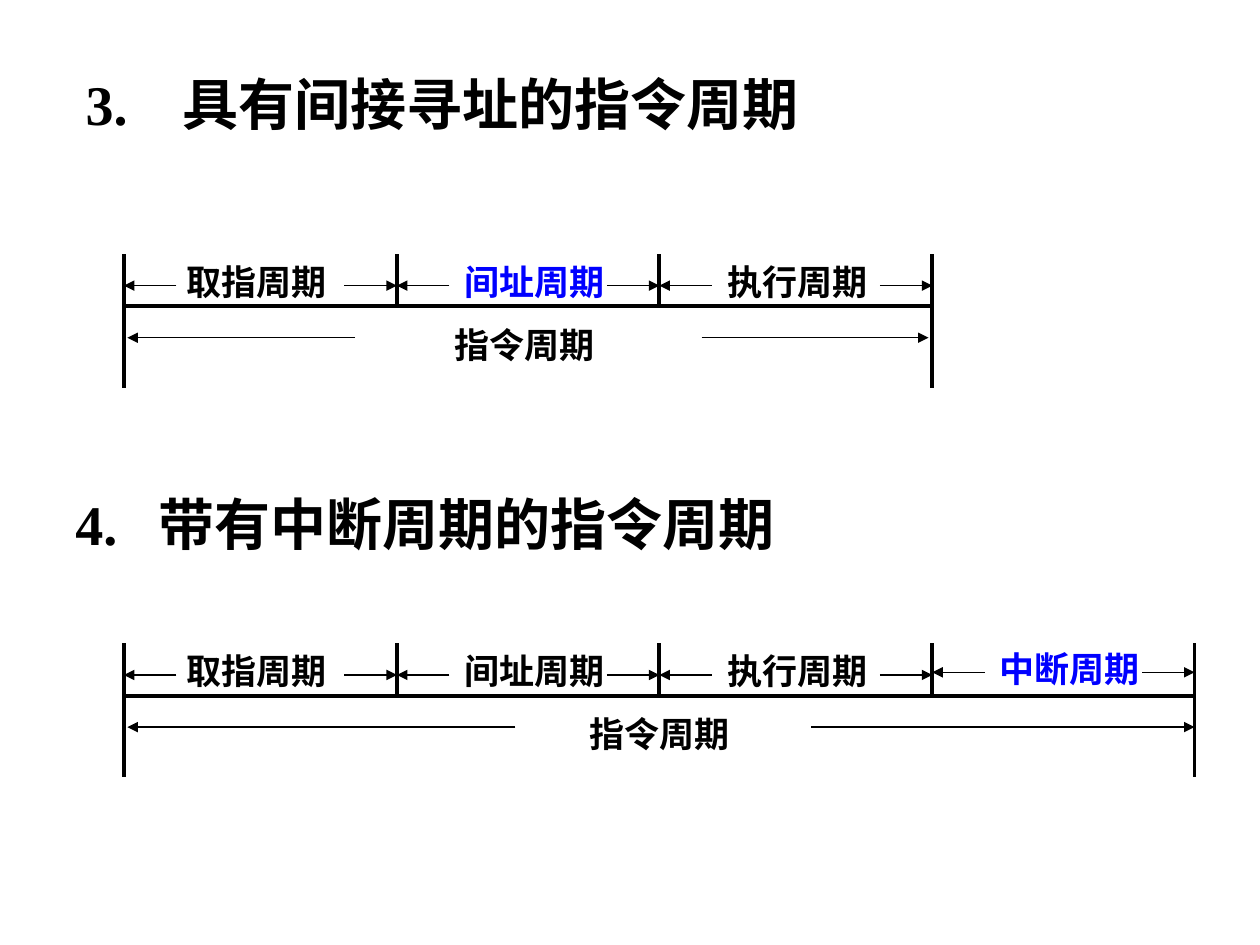
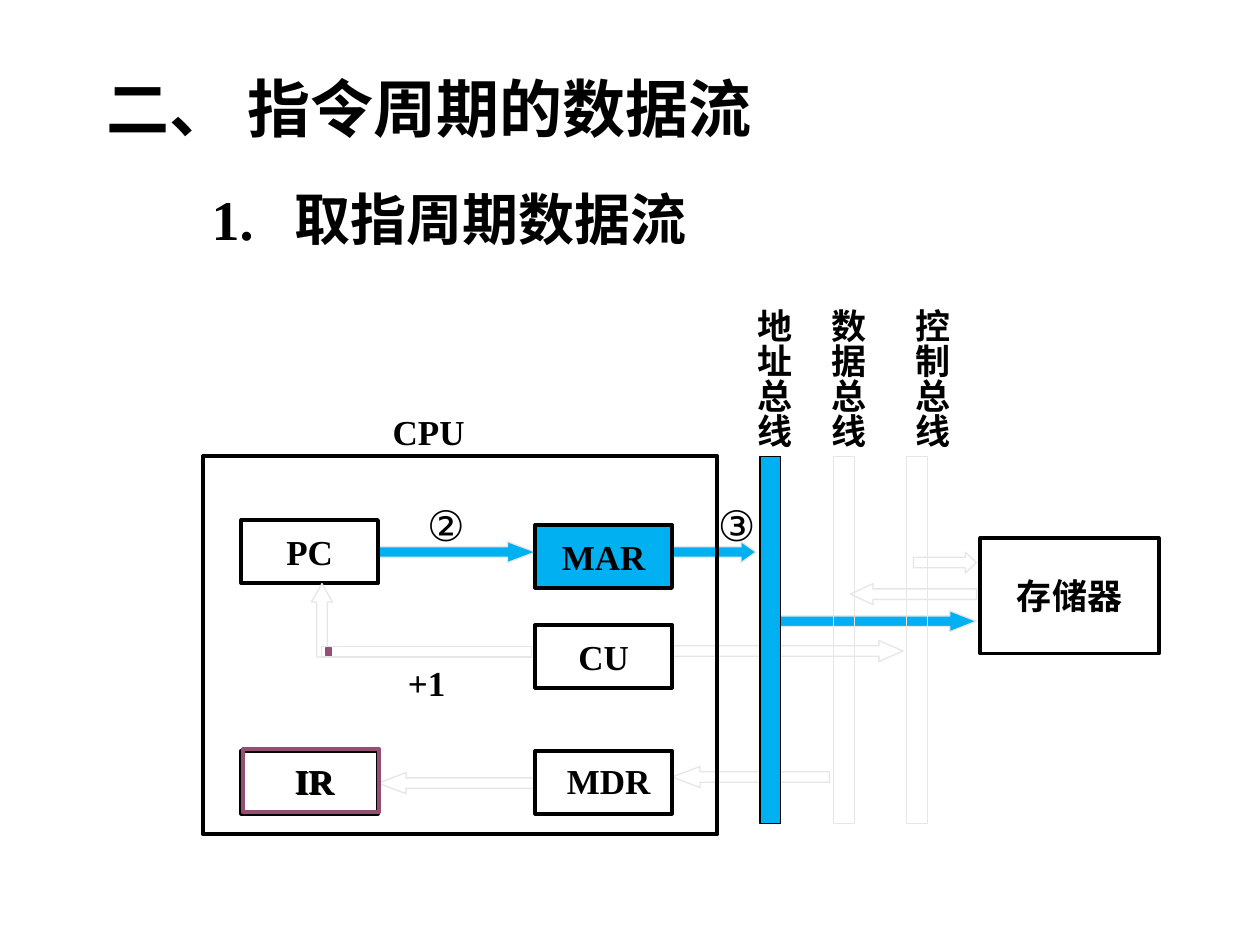
from dataclasses import dataclass

import lxml.etree
import pptx
import pptx.dml.color
import pptx.enum.shapes
import pptx.enum.text
import pptx.oxml.ns
import pptx.util

Pt = pptx.util.Pt
qn = pptx.oxml.ns.qn
PRESET = pptx.enum.shapes.MSO_SHAPE


@dataclass(frozen=True)
class Theme:
    ink: str = "000000"
    highlight: str = "0000FF"
    active: str = "00B0F0"
    idle: str = "E7E6E6"
    marker: str = "954F72"
    serif: str = "Times New Roman"
    sans: str = "Arial"
    title: int = 36
    heading: int = 32
    label: int = 20
    step: int = 24
    thick: float = 2.25
    thin: float = 0.75


THEME = Theme()

# Timeline geometry, in points
DIVIDERS = [70.8, 226.8, 376.8, 532.8, 682.6]
PHASES = [("取指周期", 99.4), ("间址周期", 258.5), ("执行周期", 408.5), ("中断周期", 563.8)]
PHASE_LABEL_WIDTH = 104
PHASE_ARROW = 30


def rgb(color):
    return pptx.dml.color.RGBColor.from_string(color)


# Text
def write(paragraph, text, size, color=THEME.ink, face=THEME.serif, bold=True):
    run = paragraph.add_run()
    run.text = text
    run.font.size = Pt(size)
    run.font.name = face
    run.font.bold = bold
    run.font.color.rgb = rgb(color)


def add_label(slide, text, left, top, width, height=31.5, size=THEME.label, **style):
    label = slide.shapes.add_textbox(Pt(left), Pt(top), Pt(width), Pt(height))
    frame = label.text_frame
    frame.word_wrap = True
    write(frame.paragraphs[0], text, size, **style)
    return frame


def add_heading(slide, number, text, left, top, text_indent):
    frame = add_label(slide, number, left, top, 450, 46, THEME.heading)
    properties = frame.paragraphs[0]._p.get_or_add_pPr()
    tabs = lxml.etree.SubElement(properties, qn("a:tabLst"))
    lxml.etree.SubElement(tabs, qn("a:tab"), pos=str(Pt(text_indent)), algn="l")
    write(frame.paragraphs[0], "\t" + text, THEME.heading)


def add_vertical_label(slide, text, left, top):
    frame = add_label(slide, text, left, top, 38, 98)
    frame.margin_left = frame.margin_right = Pt(3.6)
    frame.margin_top = frame.margin_bottom = Pt(7.2)
    frame._txBody.bodyPr.set("vert", "eaVert")


# Lines and shapes
def add_line(slide, x1, y1, x2, y2, width=THEME.thick, arrow=False):
    line = slide.shapes.add_connector(
        pptx.enum.shapes.MSO_CONNECTOR.STRAIGHT, Pt(x1), Pt(y1), Pt(x2), Pt(y2))
    line.line.color.rgb = rgb(THEME.ink)
    line.line.width = Pt(width)
    if arrow:
        lxml.etree.SubElement(line.line._get_or_add_ln(), qn("a:tailEnd"), type="triangle")
    lxml.etree.SubElement(line._element.spPr, qn("a:effectLst"))


def add_arrow_line(slide, start, end, y):
    add_line(slide, start, y, end, y, THEME.thin, arrow=True)


def add_block(slide, left, top, width, height, text="", fill=None, outline=THEME.ink,
              weight=THEME.thick, preset=PRESET.RECTANGLE):
    block = slide.shapes.add_shape(preset, Pt(left), Pt(top), Pt(width), Pt(height))
    block.shadow.inherit = False
    if fill:
        block.fill.solid()
        block.fill.fore_color.rgb = rgb(fill)
    else:
        block.fill.background()
    block.line.color.rgb = rgb(outline)
    block.line.width = Pt(weight)
    if text:
        frame = block.text_frame
        frame.word_wrap = False
        frame.vertical_anchor = pptx.enum.text.MSO_ANCHOR.MIDDLE
        frame.paragraphs[0].alignment = pptx.enum.text.PP_ALIGN.CENTER
        write(frame.paragraphs[0], text, THEME.label)
    return block


def add_register(slide, text, left, top, **style):
    return add_block(slide, left, top, 78, 36, text, **style)


def add_flow(slide, left, top, width, head, active=False, leftward=False):
    flow = add_block(slide, left, top, width, 12, fill=THEME.active if active else None,
                     outline=THEME.idle, weight=THEME.thin, preset=PRESET.RIGHT_ARROW)
    flow.adjustments[0] = 0.5
    flow.adjustments[1] = head
    flow.rotation = 180 if leftward else 0


# Instruction cycle timeline
def add_timeline(slide, top, phase_count, highlighted, total_left, total_arrows):
    start, end = DIVIDERS[0], DIVIDERS[phase_count]
    axis, bottom = top + 29.8, top + 76.3
    add_line(slide, start, axis, end, axis)
    for x in DIVIDERS[:phase_count + 1]:
        add_line(slide, x, top, x, bottom if x in (start, end) else axis)

    for index, (phase, label_left) in enumerate(PHASES[:phase_count]):
        lift = 1.5 if phase == "中断周期" else 0
        color = THEME.highlight if phase == highlighted else THEME.ink
        add_label(slide, phase, label_left, top - lift, PHASE_LABEL_WIDTH, color=color)
        left, right = DIVIDERS[index:index + 2]
        add_arrow_line(slide, left + PHASE_ARROW, left, top + 18 - lift)
        add_arrow_line(slide, right - PHASE_ARROW, right, top + 18 - lift)

    add_label(slide, "指令周期", total_left, top + 36, PHASE_LABEL_WIDTH)
    left_tail, right_tail, right_tip = total_arrows
    add_arrow_line(slide, left_tail, start + 2, top + 47.8)
    add_arrow_line(slide, right_tail, right_tip, top + 47.8)


def build_cycle_slide(slide):
    add_heading(slide, "3.", "具有间接寻址的指令周期", 41.8, 36, 55.5)
    add_timeline(slide, 145.2, 3, "间址周期", 252.7, (203, 401, 530.6))
    add_heading(slide, "4.", "带有中断周期的指令周期", 36, 276, 47.5)
    add_timeline(slide, 367.7, 4, "中断周期", 329.8, (294.5, 463.7, 682.6))


# Fetch cycle data flow
def build_data_flow_slide(slide):
    add_label(slide, "二、 指令周期的数据流", 54, 36, 493, 50.5, THEME.title)
    add_heading(slide, "1.", "取指周期数据流", 113.8, 102, 47.5)

    # Flows between parts
    add_flow(slide, 216, 441.5, 90, 1.33, leftward=True)
    add_flow(slide, 216, 309.5, 90, 1.33, active=True)
    add_flow(slide, 384, 309.5, 48, 0.71, active=True)
    add_flow(slide, 384, 438, 90, 1.33, leftward=True)
    add_flow(slide, 384, 366, 132, 1.15)
    add_flow(slide, 444, 349, 114, 1.27, active=True)
    add_flow(slide, 486, 333.5, 72, 1.07, leftward=True)
    add_flow(slide, 522, 315.5, 36, 0.53)

    # Registers
    add_label(slide, "MDR", 316.8, 430.5, 72)
    add_register(slide, "", 306, 429)
    add_register(slide, "CU", 306, 357)
    add_register(slide, "MAR", 306, 300, fill=THEME.active)
    add_register(slide, "PC", 138, 297.2)
    for shift, outline in ((0, THEME.ink), (0.8, THEME.marker)):
        add_register(slide, "", 138 + shift, 429 - shift, outline=outline)
        add_label(slide, "IR", 161.3 + shift, 430.5 + shift, 46)

    # CPU, buses and memory
    add_block(slide, 116, 260.8, 294, 216)
    add_label(slide, "CPU", 217.3, 231, 66)
    buses = (("地址总线", 420, True), ("数据总线", 462, False), ("控制总线", 510, False))
    for index, (bus, label_left, active) in enumerate(buses):
        add_block(slide, 434.2 + 42 * index, 260.8, 12, 210, weight=THEME.thin,
                  fill=THEME.active if active else None,
                  outline=THEME.ink if active else THEME.idle)
        add_vertical_label(slide, bus, label_left, 169)
    add_block(slide, 560.2, 307.5, 102, 66, "存储器")

    # Program counter increment
    add_block(slide, 183.6, 369.5, 120, 6, outline=THEME.idle, weight=THEME.thin)
    increment = add_block(slide, 178, 333.5, 12, 42, outline=THEME.idle,
                          weight=THEME.thin, preset=PRESET.UP_ARROW)
    increment.adjustments[0] = 0.5
    increment.adjustments[1] = 0.88
    add_label(slide, "+1", 226, 374.5, 126)
    add_block(slide, 186.3, 370.3, 3, 4.3, fill=THEME.marker, outline=THEME.marker,
              weight=THEME.thin)

    # Step numbers
    for number, left in (("②", 237), ("③", 403.2)):
        add_label(slide, number, left, 282, 44, 36, THEME.step,
                  face=THEME.sans, bold=False)


def main():
    deck = pptx.Presentation()
    deck.slide_width, deck.slide_height = Pt(720), Pt(540)
    for build in (build_cycle_slide, build_data_flow_slide):
        build(deck.slides.add_slide(deck.slide_layouts[6]))
    deck.save("out.pptx")


if __name__ == "__main__":
    main()
